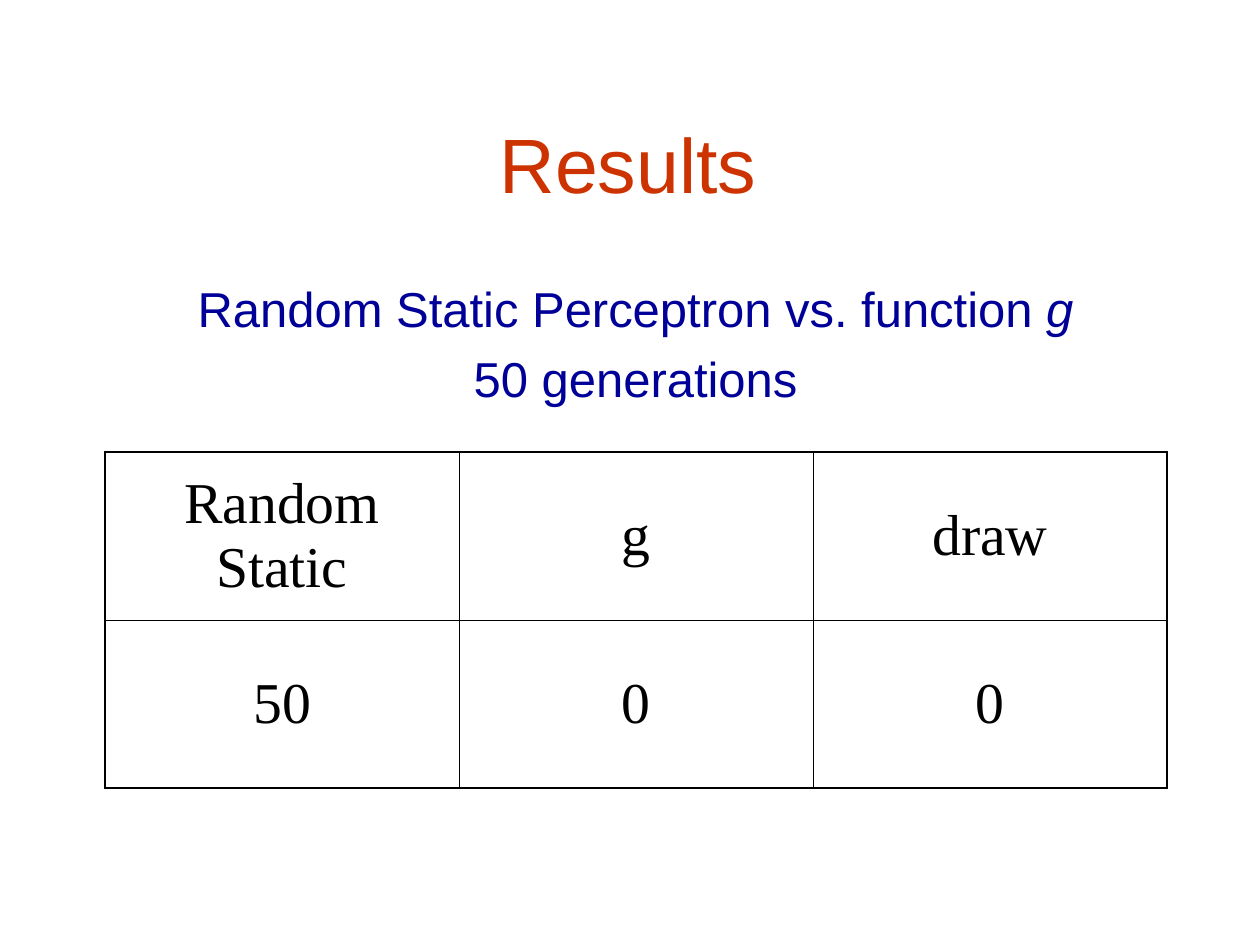
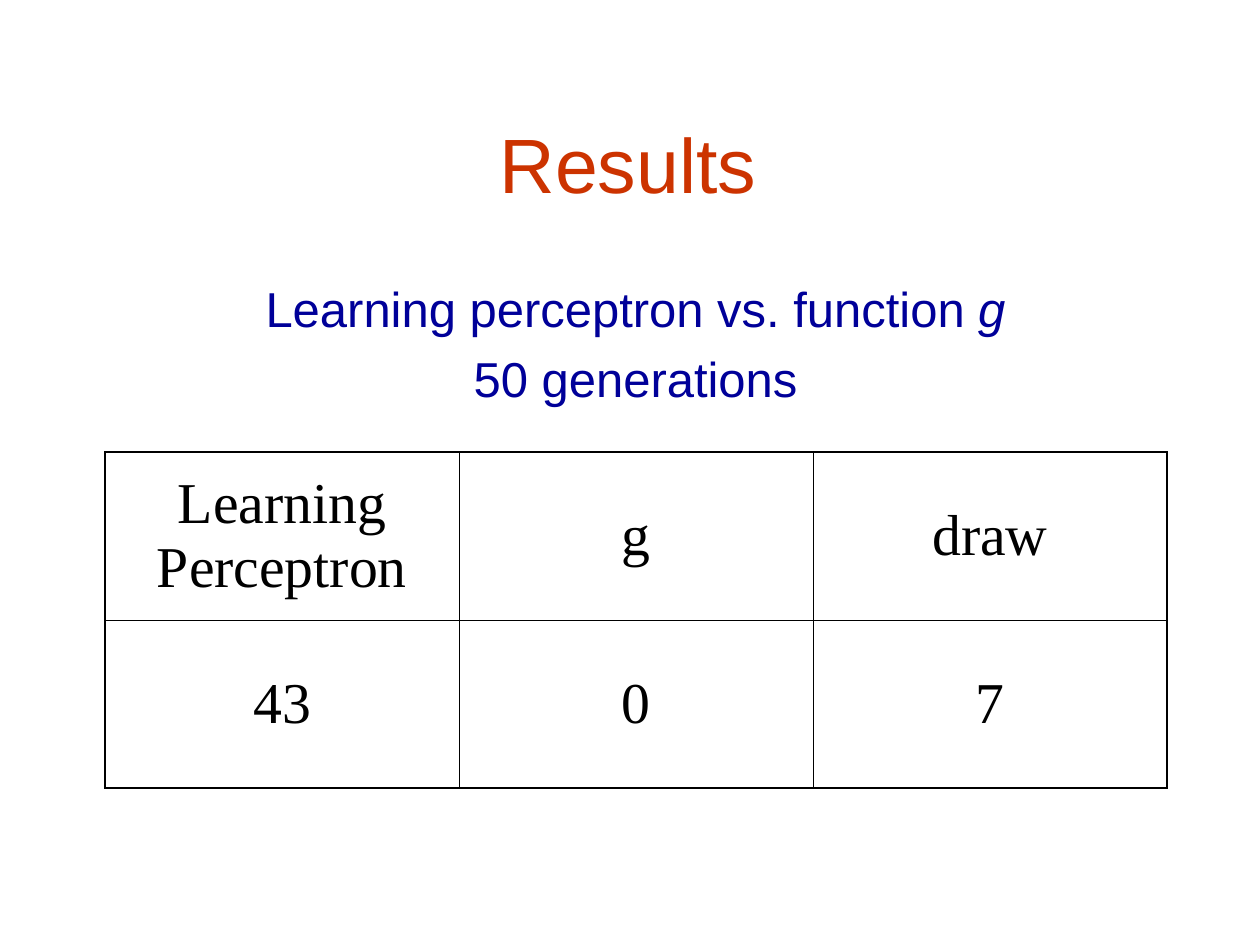
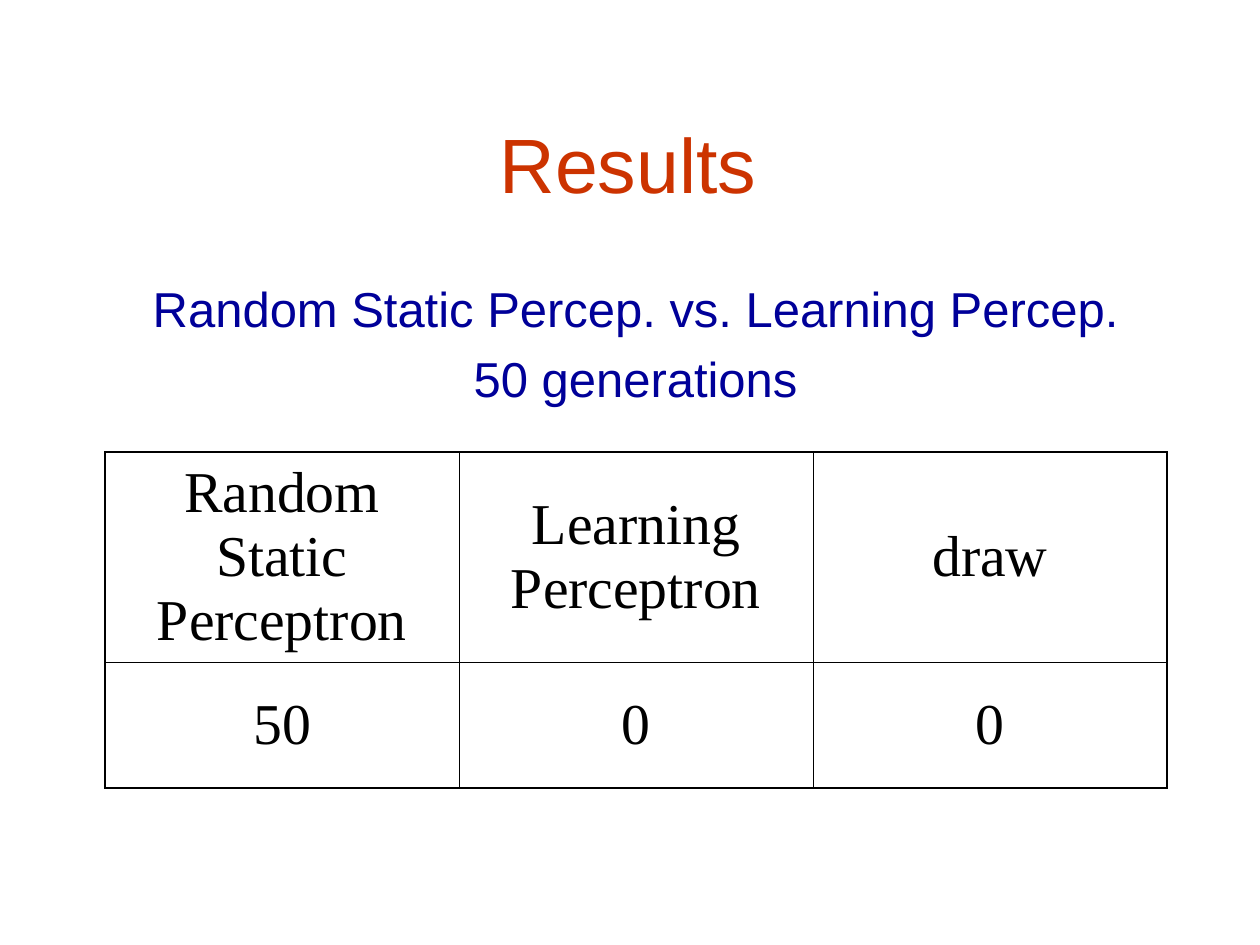
from dataclasses import dataclass

import pptx
import pptx.dml.color
import pptx.enum.text
import pptx.oxml
import pptx.oxml.ns
import pptx.util

PX_PER_INCH = 126
RED = pptx.dml.color.RGBColor(0xCC, 0x33, 0x00)
NAVY = pptx.dml.color.RGBColor(0x00, 0x00, 0x99)
BLACK = pptx.dml.color.RGBColor(0x00, 0x00, 0x00)
HEADING_FONT = "Arial"
TABLE_FONT = "Times New Roman"
OUTER_RULE = 1.08
INNER_RULE = 0.45
COLUMN_WIDTH = 354


@dataclass(frozen=True)
class Box:
    left: int
    top: int
    width: int
    height: int


@dataclass(frozen=True)
class Match:
    versus: str
    opponent_symbol: str
    players: tuple[str, str, str]
    wins: tuple[str, str, str]
    row_heights: tuple[int, int] = (168, 168)


TITLE_BOX = Box(95, 53, 1071, 220)
SUBTITLE_BOX = Box(84, 278, 1103, 136)
TABLE_BOX = Box(105, 452, 3 * COLUMN_WIDTH, 336)

MATCHES = (
    Match("Random Static Perceptron vs. function ", "g",
          ("Random Static", "g", "draw"), ("50", "0", "0")),
    Match("Learning perceptron vs. function ", "g",
          ("Learning Perceptron", "g", "draw"), ("43", "0", "7")),
    Match("Random Static Percep. vs. Learning Percep.", "",
          ("Random Static Perceptron", "Learning Perceptron", "draw"),
          ("50", "0", "0"), (210, 126)),
)


def px(length: int) -> pptx.util.Emu:
    return pptx.util.Emu(round(length * pptx.util.Inches(1) / PX_PER_INCH))


def place(placeholder, box: Box, insets: tuple[int, int, int, int], anchor) -> None:
    """Move a placeholder and set its insets (left, top, right, bottom)."""
    placeholder.left, placeholder.top = px(box.left), px(box.top)
    placeholder.width, placeholder.height = px(box.width), px(box.height)
    frame = placeholder.text_frame
    frame.word_wrap = True
    frame.auto_size = pptx.enum.text.MSO_AUTO_SIZE.NONE
    frame.vertical_anchor = anchor
    (frame.margin_left, frame.margin_top,
     frame.margin_right, frame.margin_bottom) = map(px, insets)


def write(paragraph, text: str, *, font: str, size: float,
          color: pptx.dml.color.RGBColor, italic: bool = False) -> None:
    """Append a formatted run to a centred paragraph."""
    paragraph.alignment = pptx.enum.text.PP_ALIGN.CENTER
    run = paragraph.add_run()
    run.text = text
    run.font.name = font
    run.font.size = pptx.util.Pt(size)
    run.font.color.rgb = color
    run.font.italic = italic


def indent(paragraph, margin: int, first_line: int) -> None:
    """Set the indents and leave the paragraph without a bullet."""
    properties = paragraph._p.get_or_add_pPr()
    properties.set("marL", str(px(margin)))
    properties.set("indent", str(px(first_line)))
    properties.append(pptx.oxml.parse_xml(
        f'<a:buNone {pptx.oxml.ns.nsdecls("a")}/>'))


def add_title(slide) -> None:
    title = slide.shapes.title
    place(title, TITLE_BOX, (8, 8, 18, 8), pptx.enum.text.MSO_ANCHOR.MIDDLE)
    heading = title.text_frame.paragraphs[0]
    indent(heading, 5, 0)
    write(heading, "Results", font=HEADING_FONT, size=44, color=RED)


def add_subtitle(slide, match: Match) -> None:
    subtitle = slide.placeholders[1]
    place(subtitle, SUBTITLE_BOX, (0, 0, 5, 0), pptx.enum.text.MSO_ANCHOR.TOP)
    style = {"font": HEADING_FONT, "size": 28, "color": NAVY}
    versus = subtitle.text_frame.paragraphs[0]
    generations = subtitle.text_frame.add_paragraph()
    for line in (versus, generations):
        line.space_before = pptx.util.Pt(6.4)
        indent(line, 19, -14)
    write(versus, match.versus, **style)
    if match.opponent_symbol:
        write(versus, match.opponent_symbol, italic=True, **style)
    write(generations, "50 generations", **style)


def rule_cell(cell, widths: dict[str, float]) -> None:
    """Draw the borders of a cell; widths are points by side (L, R, T, B)."""
    properties = cell._tc.get_or_add_tcPr()
    for side, width in widths.items():
        properties.append(pptx.oxml.parse_xml(
            f'<a:ln{side} {pptx.oxml.ns.nsdecls("a")} w="{pptx.util.Pt(width)}">'
            f'<a:solidFill><a:srgbClr val="{BLACK}"/></a:solidFill></a:ln{side}>'))


def add_score_table(slide, match: Match) -> None:
    rows = (match.players, match.wins)
    last_row, last_column = len(rows) - 1, len(match.players) - 1
    scores = slide.shapes.add_table(
        len(rows), len(match.players), px(TABLE_BOX.left), px(TABLE_BOX.top),
        px(TABLE_BOX.width), px(TABLE_BOX.height)).table
    scores.first_row = scores.horz_banding = False
    for column in scores.columns:
        column.width = px(COLUMN_WIDTH)
    for r, (entries, height) in enumerate(zip(rows, match.row_heights)):
        scores.rows[r].height = px(height)
        for c, entry in enumerate(entries):
            cell = scores.cell(r, c)
            on_edge = {"L": c == 0, "R": c == last_column,
                       "T": r == 0, "B": r == last_row}
            rule_cell(cell, {side: OUTER_RULE if outer else INNER_RULE
                             for side, outer in on_edge.items()})
            cell.fill.background()
            cell.margin_left = cell.margin_right = px(8)
            cell.margin_top = cell.margin_bottom = px(6)
            cell.vertical_anchor = pptx.enum.text.MSO_ANCHOR.MIDDLE
            write(cell.text_frame.paragraphs[0], entry,
                  font=TABLE_FONT, size=33, color=BLACK)


def main() -> None:
    deck = pptx.Presentation()
    deck.slide_width, deck.slide_height = px(1260), px(945)
    for match in MATCHES:
        slide = deck.slides.add_slide(deck.slide_layouts[1])
        add_title(slide)
        add_subtitle(slide, match)
        add_score_table(slide, match)
    deck.save("out.pptx")


if __name__ == "__main__":
    main()
